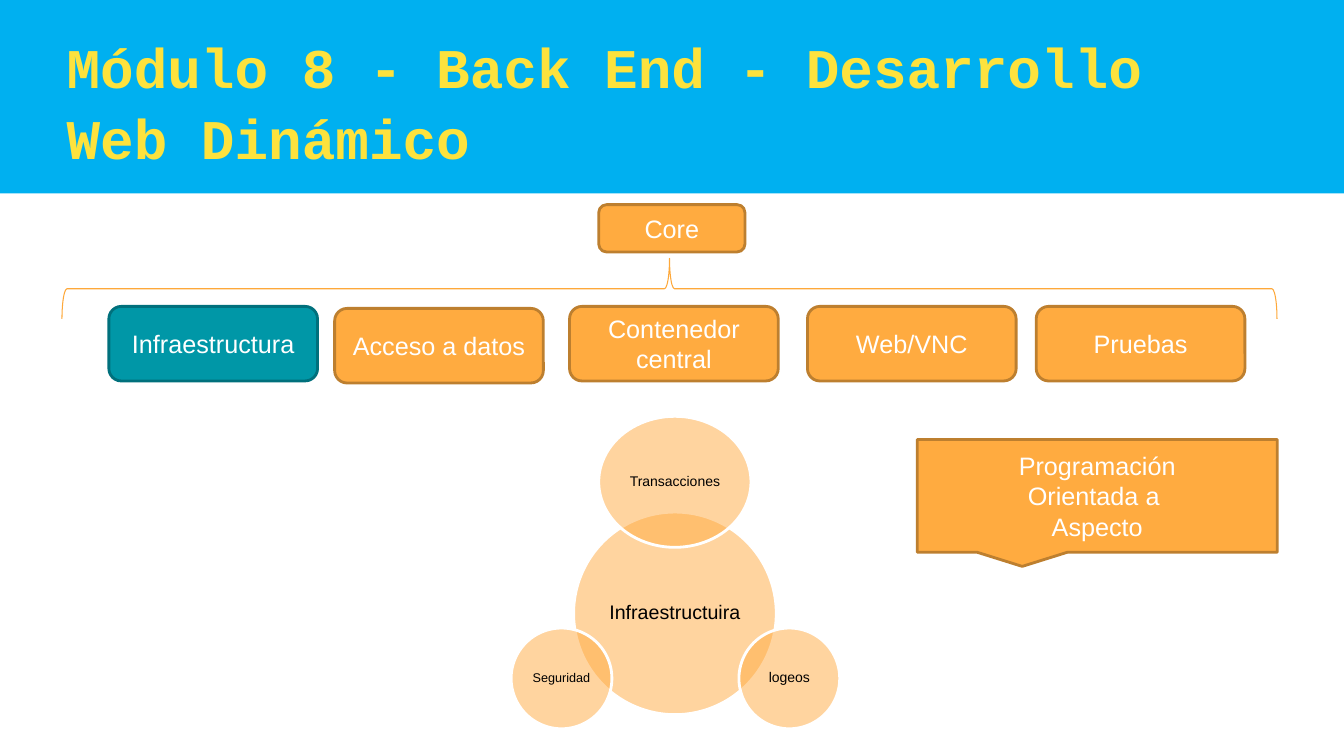
from dataclasses import dataclass

from lxml.etree import SubElement
from pptx import Presentation
from pptx.dml.color import RGBColor
from pptx.enum.shapes import MSO_SHAPE as Preset
from pptx.enum.text import MSO_ANCHOR as Anchor, MSO_AUTO_SIZE as AutoSize, PP_ALIGN as Align
from pptx.oxml.ns import qn
from pptx.shapes.autoshape import Shape
from pptx.slide import Slide
from pptx.util import Inches, Pt

SLIDE_WIDTH, SLIDE_HEIGHT = Inches(13.33), Inches(7.5)
TITLE_ONLY_LAYOUT = 5
COLORS = {
    "banner": "00B0F0",
    "title": "FDE23D",
    "orange": "FFAB40",
    "orange_edge": "BD7F2F",
    "teal": "0097A7",
    "teal_edge": "00707C",
    "brace": "FEA83A",
    "white": "FFFFFF",
    "black": "000000",
}


@dataclass(frozen=True)
class Box:
    """Position and size in percent of the slide's width and height."""
    left: float
    top: float
    width: float
    height: float

    def lengths(self) -> tuple[int, int, int, int]:
        return (
            int(SLIDE_WIDTH * self.left / 100),
            int(SLIDE_HEIGHT * self.top / 100),
            int(SLIDE_WIDTH * self.width / 100),
            int(SLIDE_HEIGHT * self.height / 100),
        )


@dataclass(frozen=True)
class Block:
    text: str
    box: Box
    preset: Preset = Preset.ROUNDED_RECTANGLE
    fill: str = "orange"
    edge: str = "orange_edge"


@dataclass(frozen=True)
class Circle:
    text: str
    box: Box
    text_size: float


MODULE_WIDTH, MODULE_HEIGHT, MODULE_TOP = 15.53, 9.87, 40.53


def module(text: str, left: float, top: float = MODULE_TOP, **colors: str) -> Block:
    return Block(text, Box(left, top, MODULE_WIDTH, MODULE_HEIGHT), **colors)


TITLE = "Módulo 8 - Back End - Desarrollo Web Dinámico"
BANNER_BOX = Box(0, -0.27, 100, 25.87)
TITLE_BOX = Box(4.58, 2.27, 90.4, 17.47)
BRACE_BOX = Box(4.61, 34.2, 90.4, 8)
BLOCKS = [
    Block("Core", Box(44.55, 27.07, 10.88, 6.27)),
    module("Infraestructura", 8.1, fill="teal", edge="teal_edge"),
    module("Acceso a datos", 24.9, top=40.8),
    module("Contenedor central", 42.38),
    module("Web/VNC", 60.08),
    module("Pruebas", 77.1),
    Block("Programación\nOrientada a \nAspecto", Box(68.25, 58.13, 26.78, 14.93),
          preset=Preset.RECTANGULAR_CALLOUT),
]
CIRCLES = [
    Circle("Infraestructuira", Box(42.68, 67.73, 15.08, 26.8), 14),
    Circle("Transacciones", Box(44.55, 55.07, 11.33, 17.33), 10),
    Circle("logeos", Box(54.98, 83.07, 7.5, 13.33), 10),
    Circle("Seguridad", Box(38.03, 83.07, 7.5, 13.33), 9),
]


def rgb(name: str) -> RGBColor:
    return RGBColor.from_string(COLORS[name])


def add_preset(slide: Slide, preset: Preset, box: Box, fill: str | None,
               edge: str | None, edge_width: float = 2) -> Shape:
    shape = slide.shapes.add_shape(preset, *box.lengths())
    shape.shadow.inherit = False
    if fill:
        shape.fill.solid()
        shape.fill.fore_color.rgb = rgb(fill)
    else:
        shape.fill.background()
    if edge:
        shape.line.color.rgb = rgb(edge)
        shape.line.width = Pt(edge_width)
    else:
        shape.line.fill.background()
    return shape


def write_text(shape: Shape, text: str, size: float, color: str, font: str = "Arial",
               bold: bool = False, align: Align = Align.CENTER,
               anchor: Anchor = Anchor.MIDDLE, line_spacing: float = 1) -> None:
    frame = shape.text_frame
    frame.text = text
    frame.word_wrap = True
    frame.auto_size = AutoSize.NONE
    frame.vertical_anchor = anchor
    for paragraph in frame.paragraphs:
        paragraph.alignment = align
        paragraph.line_spacing = line_spacing
        for run in paragraph.runs:
            run.font.name = font
            run.font.size = Pt(size)
            run.font.bold = bold
            run.font.color.rgb = rgb(color)


def set_margins(shape: Shape, margin: float) -> None:
    frame = shape.text_frame
    frame.margin_left = frame.margin_right = Inches(margin)
    frame.margin_top = frame.margin_bottom = Inches(margin)


def set_opacity(shape: Shape, percent: int) -> None:
    color = shape.fill._xPr.find(qn("a:solidFill"))[0]
    SubElement(color, qn("a:alpha")).set("val", str(percent * 1000))


def add_header(slide: Slide) -> None:
    add_preset(slide, Preset.RECTANGLE, BANNER_BOX, "banner", None)
    title = slide.shapes.title
    title.left, title.top, title.width, title.height = TITLE_BOX.lengths()
    write_text(title, TITLE, 40, "title", font="Courier New", bold=True,
               align=Align.LEFT, anchor=Anchor.TOP, line_spacing=1.06)
    set_margins(title, 0.05)
    title.text_frame.margin_top = Inches(0.11)
    slide.shapes._spTree.append(title._element)  # in front of the banner


def add_brace(slide: Slide) -> None:
    """Draw a left brace turned upwards so that it fills BRACE_BOX."""
    brace = add_preset(slide, Preset.LEFT_BRACE, BRACE_BOX, None, "brace", 0.75)
    left, top, width, height = BRACE_BOX.lengths()
    brace.left, brace.top = left + (width - height) // 2, top + (height - width) // 2
    brace.width, brace.height = height, width
    brace.rotation = 90


def add_block(slide: Slide, block: Block) -> None:
    shape = add_preset(slide, block.preset, block.box, block.fill, block.edge)
    write_text(shape, block.text, 18, "white")


def add_circle(slide: Slide, circle: Circle) -> None:
    shape = add_preset(slide, Preset.OVAL, circle.box, "orange", "white")
    set_opacity(shape, 50)
    write_text(shape, circle.text, circle.text_size, "black", line_spacing=0.9)
    set_margins(shape, 0.01)


def main() -> None:
    presentation = Presentation()
    presentation.slide_width, presentation.slide_height = SLIDE_WIDTH, SLIDE_HEIGHT
    slide = presentation.slides.add_slide(presentation.slide_layouts[TITLE_ONLY_LAYOUT])
    add_header(slide)
    add_brace(slide)
    for block in BLOCKS:
        add_block(slide, block)
    for circle in CIRCLES:
        add_circle(slide, circle)
    presentation.save("out.pptx")


if __name__ == "__main__":
    main()
